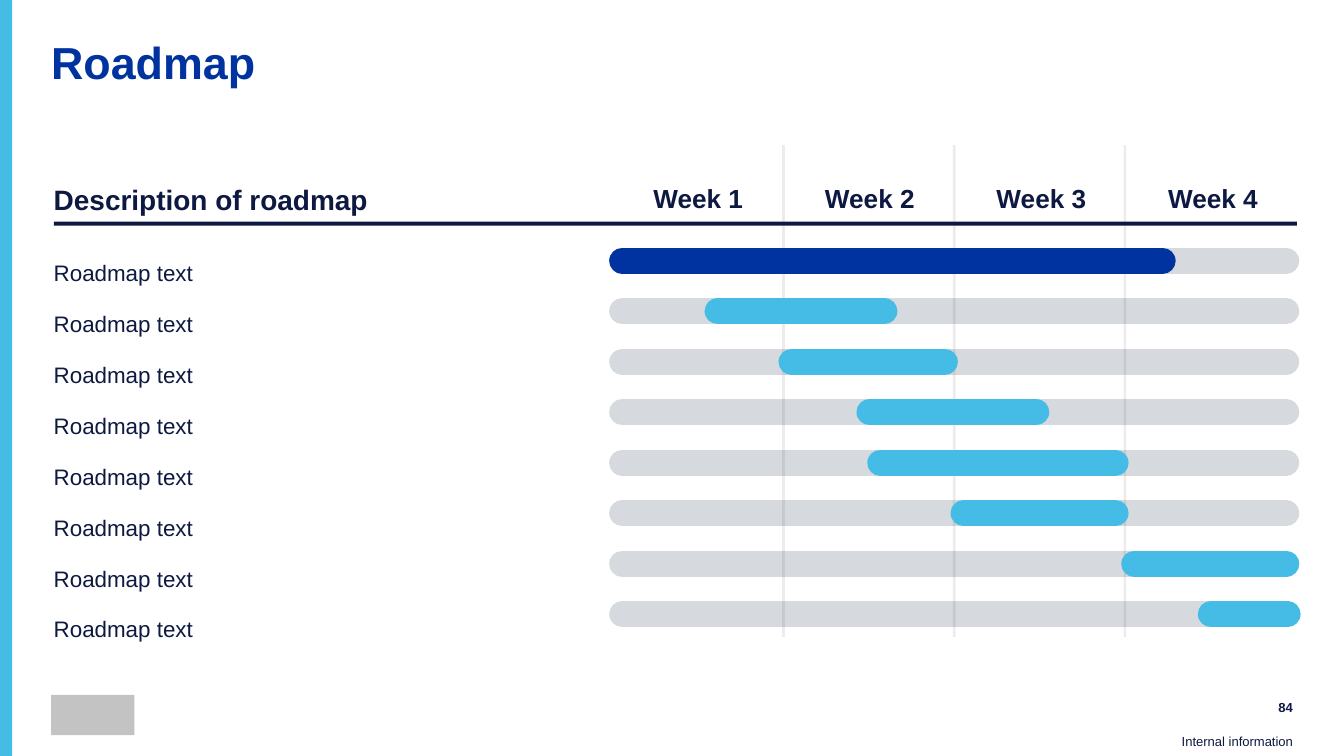
import pptx
import pptx.dml.color
import pptx.enum.shapes
import pptx.enum.text
import pptx.oxml.ns
import pptx.util
from lxml import etree

Inches = pptx.util.Inches
ALIGN = pptx.enum.text.PP_ALIGN
ANCHOR = pptx.enum.text.MSO_ANCHOR
GROW = pptx.enum.text.MSO_AUTO_SIZE.SHAPE_TO_FIT_TEXT
FIXED = pptx.enum.text.MSO_AUTO_SIZE.NONE
SHAPE = pptx.enum.shapes.MSO_SHAPE

# Content
TITLE = "Roadmap"
HEADING = "Description of roadmap"
WEEKS = ["Week 1", "Week 2", "Week 3", "Week 4"]
# Label, bar colour, bar segments (start, end) in inches
TASKS = [
    ("Roadmap text", "blue", [(4.63, 8.65)]),
    ("Roadmap text", "sky", [(5.34, 6.58)]),
    ("Roadmap text", "sky", [(5.89, 7.03)]),
    ("Roadmap text", "sky", [(6.47, 7.71)]),
    ("Roadmap text", "sky", [(7.17, 8.3), (6.55, 7.68)]),
    ("Roadmap text", "sky", [(7.17, 8.3)]),
    ("Roadmap text", "sky", [(8.44, 9.57)]),
    ("Roadmap text", "sky", [(9.01, 9.58)]),
]
PAGE_NUMBER = "84"
FOOTER = "Internal information"

COLORS = {"blue": "0033A0", "sky": "45BCE5", "navy": "0E1941",
          "track": "D6D9DD", "divider": "191919", "logo": "C3C3C3"}

# Layout in inches
SLIDE_WIDTH = 10
SLIDE_HEIGHT = SLIDE_WIDTH * 9 / 16
TRACK_START, TRACK_END = 4.63, 9.57
FIRST_BAR, LAST_BAR = 1.94, 4.57
FIRST_LABEL, LAST_LABEL = 1.83, 4.48
FIRST_WEEK, LAST_WEEK, WEEK_WIDTH = 4.77, 8.6, 0.85
FIRST_DIVIDER, DIVIDER_STEP = 5.82, 1.27
BAR_STEP = (LAST_BAR - FIRST_BAR) / (len(TASKS) - 1)
LABEL_STEP = (LAST_LABEL - FIRST_LABEL) / (len(TASKS) - 1)
WEEK_STEP = (LAST_WEEK - FIRST_WEEK) / (len(WEEKS) - 1)

TITLE_FORMAT = {"size": 24, "bold": True, "color": "blue", "spacing": 0.9}
HEADING_FORMAT = {"size": 15, "bold": True, "spacing": 1.42, "grow": GROW}
WEEK_FORMAT = {"size": 14, "bold": True, "spacing": 1.58,
               "align": ALIGN.CENTER, "grow": GROW}
LABEL_FORMAT = {"size": 12, "spacing": 1.5, "grow": GROW}
PAGE_FORMAT = {"size": 7, "bold": True, "align": ALIGN.RIGHT, "anchor": ANCHOR.MIDDLE}
FOOTER_FORMAT = {"size": 7, "align": ALIGN.RIGHT, "anchor": ANCHOR.BOTTOM,
                 "bottom": 0.05, "grow": GROW}


def rgb(name):
    return pptx.dml.color.RGBColor.from_string(COLORS[name])


def set_all(target, values):
    for name, value in values.items():
        setattr(target, name, value)


def write(box, text, style):
    frame = box.text_frame
    frame.text = text
    set_all(frame, {
        "margin_left": 0, "margin_right": 0, "margin_top": 0,
        "margin_bottom": Inches(style.get("bottom", 0)),
        "word_wrap": True,
        "auto_size": style.get("grow", FIXED),
        "vertical_anchor": style.get("anchor", ANCHOR.TOP),
    })
    paragraph = frame.paragraphs[0]
    set_all(paragraph, {"alignment": style.get("align", ALIGN.LEFT),
                        "line_spacing": style.get("spacing", 1.0)})
    set_all(paragraph.font, {"name": "Arial", "size": pptx.util.Pt(style["size"]),
                             "bold": style.get("bold", False)})
    paragraph.font.color.rgb = rgb(style.get("color", "navy"))


def add_text(slide, text, place, style):
    write(slide.shapes.add_textbox(*map(Inches, place)), text, style)


def add_block(slide, place, color, kind=SHAPE.RECTANGLE, alpha=None):
    block = slide.shapes.add_shape(kind, *map(Inches, place))
    block.shadow.inherit = False
    block.line.fill.background()
    block.fill.solid()
    block.fill.fore_color.rgb = rgb(color)
    if alpha is not None:
        fill_color = block.fill._xPr.find(".//" + pptx.oxml.ns.qn("a:srgbClr"))
        etree.SubElement(fill_color, pptx.oxml.ns.qn("a:alpha"), val=str(alpha * 1000))


def add_bar(slide, start, end, y, color):
    bar = slide.shapes.add_connector(
        pptx.enum.shapes.MSO_CONNECTOR.STRAIGHT, *map(Inches, (start, y, end, y)))
    bar.line.width = pptx.util.Pt(14)
    bar.line.color.rgb = rgb(color)
    bar.line._get_or_add_ln().set("cap", "rnd")
    etree.SubElement(bar._element.spPr, pptx.oxml.ns.qn("a:effectLst"))


def main():
    deck = pptx.Presentation()
    deck.slide_width, deck.slide_height = Inches(SLIDE_WIDTH), Inches(SLIDE_HEIGHT)
    slide = deck.slides.add_slide(deck.slide_layouts[5])

    # Side band, footer and logo stand-in
    add_block(slide, (0, 0, 0.09, SLIDE_HEIGHT), "sky")
    add_text(slide, FOOTER, (8.72, 5.46, 0.9, 0.16), FOOTER_FORMAT)
    add_block(slide, (0.38, 5.17, 0.62, 0.3), "logo")

    # Grey tracks
    for row in range(len(TASKS)):
        add_bar(slide, TRACK_START, TRACK_END, FIRST_BAR + row * BAR_STEP, "track")

    # Title
    title = slide.shapes.title
    set_all(title, {"left": Inches(0.38), "top": Inches(0.3),
                    "width": Inches(9.25), "height": Inches(0.49)})
    write(title, TITLE, TITLE_FORMAT)

    # Header row
    add_block(slide, (0.4, 1.65, 9.25, 0.03), "navy")
    add_text(slide, HEADING, (0.4, 1.25, 2.86, 0.27), HEADING_FORMAT)
    for column, week in enumerate(WEEKS):
        left = FIRST_WEEK + column * WEEK_STEP
        add_text(slide, week, (left, 1.22, WEEK_WIDTH, 0.27), WEEK_FORMAT)

    # Task labels
    for row, (label, _, _) in enumerate(TASKS):
        top = FIRST_LABEL + row * LABEL_STEP
        add_text(slide, label, (0.4, top, 2.86, 0.23), LABEL_FORMAT)

    # Week dividers
    for column in range(len(WEEKS) - 1):
        left = FIRST_DIVIDER + column * DIVIDER_STEP
        add_block(slide, (left, 1.08, 0.02, 3.66), "divider", alpha=8)

    # Task bars
    for row, (_, color, segments) in enumerate(TASKS):
        for start, end in segments:
            add_bar(slide, start, end, FIRST_BAR + row * BAR_STEP, color)

    # Page number
    add_text(slide, PAGE_NUMBER, (9.03, 5.17, 0.59, 0.18), PAGE_FORMAT)

    deck.save("out.pptx")


if __name__ == "__main__":
    main()
